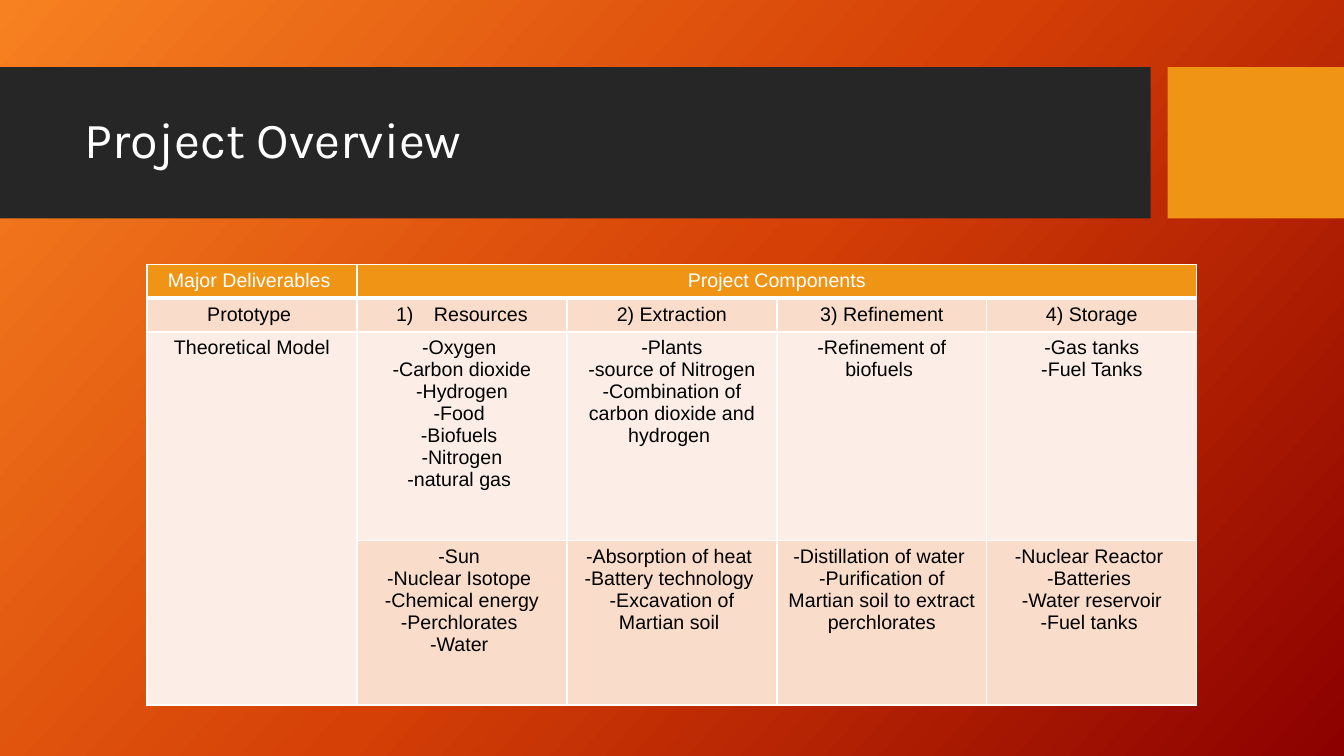
from copy import deepcopy

from lxml.etree import SubElement
from pptx import Presentation
from pptx.dml.color import RGBColor
from pptx.enum.shapes import MSO_SHAPE
from pptx.enum.text import MSO_ANCHOR, PP_ALIGN
from pptx.oxml import parse_xml
from pptx.oxml.ns import nsdecls, qn
from pptx.util import Pt

WHITE = RGBColor(0xFF, 0xFF, 0xFF)
BLACK = RGBColor(0x00, 0x00, 0x00)
CHARCOAL = RGBColor(0x26, 0x26, 0x26)
AMBER = RGBColor(0xF0, 0x94, 0x15)
PEACH = RGBColor(0xF9, 0xDC, 0xCA)
CREAM = RGBColor(0xFC, 0xEE, 0xE7)
GRADIENT = [
    (0, RGBColor(0xF7, 0x81, 0x21)),
    (0.5, RGBColor(0xD5, 0x40, 0x06)),
    (1, RGBColor(0x8C, 0x00, 0x00)),
]

ROW_FILLS = [AMBER, PEACH, CREAM, PEACH]
ROW_HEIGHTS = [22, 23, 149, 117.5]
COMPONENTS = [
    [["Major Deliverables "], ["Project Components"], [], [], []],
    [["Prototype "], ["Resources"], ["2) Extraction"], ["3) Refinement"], ["4) Storage"]],
    [
        ["Theoretical Model"],
        ["-Oxygen ", "-Carbon dioxide", "-Hydrogen", "-Food ", "-Biofuels ", "-Nitrogen",
         "-natural gas "],
        ["-Plants", "-source of Nitrogen", "-Combination of carbon dioxide and hydrogen "],
        ["-Refinement of biofuels "],
        ["-Gas tanks", "-Fuel Tanks"],
    ],
    [
        [],
        ["-Sun ", "-Nuclear Isotope ", "-Chemical energy", "-Perchlorates ", "-Water "],
        ["-Absorption of heat ", "-Battery technology ", "-Excavation of Martian soil "],
        ["-Distillation of water ", "-Purification of Martian soil to extract perchlorates"],
        ["-Nuclear Reactor ", "-Batteries ", "-Water reservoir", "-Fuel tanks "],
    ],
]


def paint_background(page):
    fill = page.background.fill
    fill.gradient()
    fill.gradient_angle = 318
    stop_list = next(page.element.iter(qn("a:gsLst")))
    stop_list.append(deepcopy(stop_list[0]))
    for stop, (position, color) in zip(fill.gradient_stops, GRADIENT):
        stop.position = position
        stop.color.rgb = color


def add_span(para, text, font_name, size, color):
    span = para.add_run()
    span.text = text
    span.font.name = font_name
    span.font.size = Pt(size)
    span.font.bold = False
    span.font.color.rgb = color


def add_block(page, left, top, width, height, color):
    block = page.shapes.add_shape(
        MSO_SHAPE.RECTANGLE, Pt(left), Pt(top), Pt(width), Pt(height))
    block.shadow.inherit = False
    block.fill.solid()
    block.fill.fore_color.rgb = color
    block.line.fill.background()


def add_title_band(page, left, top, width, height):
    accent_width, gap = 126, 12
    band_width = width - accent_width - gap
    add_block(page, left, top, band_width, height, CHARCOAL)
    add_block(page, left + width - accent_width, top, accent_width, height, AMBER)
    box = page.shapes.add_textbox(
        Pt(left + 53.5), Pt(top + 11), Pt(band_width - 65), Pt(85))
    frame = box.text_frame
    frame.word_wrap = True
    frame.vertical_anchor = MSO_ANCHOR.MIDDLE
    para = frame.paragraphs[0]
    para.line_spacing = 0.9
    add_span(para, "Project Overview", "Karla", 36, WHITE)


def set_borders(cell, top_width, bottom_width):
    properties = cell._tc.get_or_add_tcPr()
    widths = {"lnL": 1, "lnR": 1, "lnT": top_width, "lnB": bottom_width}
    for position, (side, width) in enumerate(widths.items()):
        properties.insert(position, parse_xml(
            f'<a:{side} {nsdecls("a")} w="{Pt(width)}"><a:solidFill>'
            f'<a:srgbClr val="{WHITE}"/></a:solidFill></a:{side}>'))


def number_paragraph(para):
    properties = para._p.get_or_add_pPr()
    properties.set("marL", str(Pt(27)))
    properties.set("indent", str(-Pt(27)))
    SubElement(properties, qn("a:buFont"), typeface="Arial")
    SubElement(properties, qn("a:buAutoNum"), type="arabicParenR")


def fill_cell(cell, lines, color):
    for index, line in enumerate(lines):
        frame = cell.text_frame
        para = frame.add_paragraph() if index else frame.paragraphs[0]
        if line == "Resources":
            number_paragraph(para)
        para.alignment = PP_ALIGN.CENTER
        add_span(para, line, "Arial", 14, color)


def add_components_table(page, left, top, width):
    row_count, column_count = len(COMPONENTS), len(COMPONENTS[0])
    table = page.shapes.add_table(
        row_count, column_count, Pt(left), Pt(top), Pt(width), Pt(sum(ROW_HEIGHTS))).table
    table.first_row = True
    table.horz_banding = False
    for column in table.columns:
        column.width = Pt(width / column_count)
    for row_index, lines_by_column in enumerate(COMPONENTS):
        table.rows[row_index].height = Pt(ROW_HEIGHTS[row_index])
        for column_index, lines in enumerate(lines_by_column):
            cell = table.cell(row_index, column_index)
            fill_row = 2 if row_index == 3 and column_index == 0 else row_index
            cell.fill.solid()
            cell.fill.fore_color.rgb = ROW_FILLS[fill_row]
            set_borders(cell, 3 if row_index == 1 else 1, 3 if row_index == 0 else 1)
            fill_cell(cell, lines, BLACK if row_index else WHITE)
            for para in cell.text_frame.paragraphs:
                para.font.size = Pt(14)
    table.cell(0, 1).merge(table.cell(0, 4))
    table.cell(2, 0).merge(table.cell(3, 0))


def main():
    deck = Presentation()
    deck.slide_width, deck.slide_height = Pt(960), Pt(540)
    page = deck.slides.add_slide(deck.slide_layouts[6])
    paint_background(page)
    add_title_band(page, 0, 48, 960, 108)
    add_components_table(page, 105, 189, 750)
    deck.save("out.pptx")


if __name__ == "__main__":
    main()
